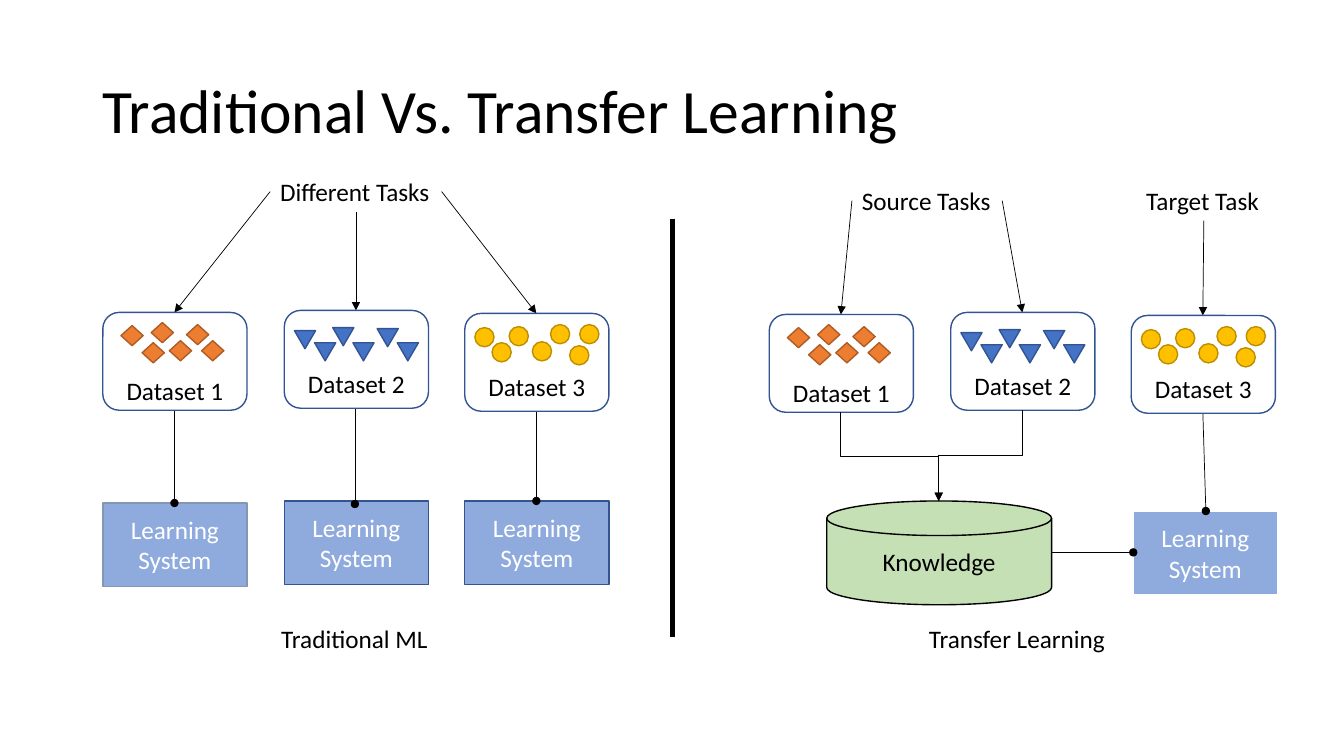
"""Build a slide comparing traditional machine learning with transfer learning."""
from lxml import etree
from pptx import Presentation, util as u
from pptx.dml.color import RGBColor
from pptx.enum import shapes, text
from pptx.oxml.ns import qn

COLORS = {
    "black": "000000", "white": "FFFFFF", "navy": "325491", "gray": "8497B0",
    "system": "8FAADC", "knowledge": "C5E0B4", "orange": "ED7D31", "rust": "AF5C24",
    "blue": "4472C4", "gold": "FFC000", "ochre": "BD8E00",
}
SHAPE = shapes.MSO_SHAPE
ANCHOR = text.MSO_ANCHOR
ALIGN = text.PP_ALIGN

COLUMNS = (1.02, 2.82, 4.61)
DATASET_TOPS = (3.1, 3.08, 3.11)
BOX_W, DATASET_H, SYSTEM_H = 1.43, 0.97, 0.83
TRANSFER_DX, TRANSFER_DY = 6.61, 0.02

MARKERS = (
    (SHAPE.DIAMOND, 0.22, 0.2, "orange", "rust",
     ((0.18, 0.13), (0.39, 0.3), (0.48, 0.1), (0.66, 0.28), (0.83, 0.12), (0.98, 0.28))),
    (SHAPE.FLOWCHART_MERGE, 0.21, 0.18, "blue", "navy",
     ((0.1, 0.2), (0.3, 0.32), (0.48, 0.17), (0.68, 0.32), (0.92, 0.18), (1.12, 0.32))),
    (SHAPE.OVAL, 0.19, 0.19, "gold", "ochre",
     ((0.1, 0.14), (0.27, 0.29), (0.44, 0.13), (0.67, 0.28), (1.14, 0.11),
      (0.85, 0.11), (1.04, 0.32))),
)


def rgb(name):
    """Return the named colour."""
    return RGBColor.from_string(COLORS[name])


def write(tf, content, size=18, color="black", align=ALIGN.CENTER,
          anchor=ANCHOR.MIDDLE, wrap=True, spacing=None, bottom=0.05):
    """Put formatted text in a text frame."""
    tf.word_wrap = wrap
    tf.vertical_anchor = anchor
    tf.margin_bottom = u.Inches(bottom)
    p = tf.paragraphs[0]
    p.alignment = align
    if spacing:
        p.line_spacing = spacing
    r = p.add_run()
    r.text = content
    r.font.name = "Calibri"
    r.font.size = u.Pt(size)
    r.font.color.rgb = rgb(color)


class Deck:
    """Hold the style and the current slide."""

    def __init__(self):
        """Start a widescreen presentation with one blank slide."""
        self.prs = Presentation()
        self.prs.slide_width = u.Inches(13.33)
        self.prs.slide_height = u.Inches(7.5)
        self.s = self.prs.slides.add_slide(self.prs.slide_layouts[6])

    def label(self, content, x, y, w, h=0.4, **fmt):
        """Add a text box."""
        sp = self.s.shapes.add_textbox(*map(u.Inches, (x, y, w, h)))
        write(sp.text_frame, content, **fmt)

    def shape(self, kind, x, y, w, h, fill, line, content=None, **fmt):
        """Add a preset shape with optional text."""
        sp = self.s.shapes.add_shape(kind, *map(u.Inches, (x, y, w, h)))
        sp.shadow.inherit = False
        sp.fill.solid()
        sp.fill.fore_color.rgb = rgb(fill)
        sp.line.color.rgb = rgb(line)
        sp.line.width = u.Pt(1)
        if content:
            write(sp.text_frame, content, **fmt)

    def line(self, x1, y1, x2, y2, tail=None, width=0.5, kind=shapes.MSO_CONNECTOR.STRAIGHT):
        """Add a connector with an optional end mark."""
        c = self.s.shapes.add_connector(kind, *map(u.Inches, (x1, y1, x2, y2)))
        c.line.color.rgb = rgb("black")
        c.line.width = u.Pt(width)
        if tail:
            etree.SubElement(c.line._get_or_add_ln(), qn("a:tailEnd"), type=tail)
        etree.SubElement(c._element.spPr, qn("a:effectLst"))
        return c

    def elbow(self, x1, y1, x2, y2):
        """Add an arrow that leaves and arrives vertically."""
        cx, cy = (x1 + x2) / 2, (y1 + y2) / 2
        half_w, half_h = (y2 - y1) / 2, abs(x2 - x1) / 2
        side = 1 if x2 > x1 else -1
        c = self.line(cx + side * half_w, cy - half_h, cx - side * half_w, cy + half_h,
                      "triangle", kind=shapes.MSO_CONNECTOR.ELBOW)
        degrees = 270 if side > 0 else 90
        c._element.spPr.find(qn("a:xfrm")).set("rot", str(degrees * 60000))

    def system(self, x, y, line):
        """Add a learning system box."""
        self.shape(SHAPE.RECTANGLE, x, y, BOX_W, SYSTEM_H, "system", line,
                   "Learning System", color="white")

    def dataset(self, i, dx=0, dy=0):
        """Add a dataset box with its markers."""
        x, y = COLUMNS[i] + dx, DATASET_TOPS[i] + dy
        self.shape(SHAPE.ROUNDED_RECTANGLE, x, y, BOX_W, DATASET_H, "white", "navy",
                   f"Dataset {i + 1}", anchor=ANCHOR.BOTTOM, bottom=0.05 if i else 0)
        kind, w, h, fill, line, offsets = MARKERS[i]
        for ox, oy in offsets:
            self.shape(kind, x + ox, y + oy, w, h, fill, line)


def main():
    """Compose and save the slide."""
    d = Deck()
    d.label("Traditional Vs. Transfer Learning", 0.92, 0.4, 11.5, 1.45,
            size=44, align=ALIGN.LEFT, spacing=0.9)
    for content, x, y, w in (("Different Tasks", 2.68, 1.7, 1.7),
                             ("Source Tasks", 8.45, 1.79, 1.49),
                             ("Target Task", 11.27, 1.79, 1.33)):
        d.label(content, x, y, w, align=ALIGN.LEFT, anchor=ANCHOR.TOP, wrap=False)
    for content, x in (("Traditional ML", 1.82), ("Transfer Learning", 8.39)):
        d.label(content, x, 6.13, 3.39, anchor=ANCHOR.TOP)
    d.line(6.67, 2.17, 6.67, 6.32, width=4)

    for x, y, line in zip(COLUMNS, (4.99, 4.97, 4.97), ("gray", "navy", "navy")):
        d.system(x, y, line)
    d.system(11.24, 5.07, "white")
    d.shape(SHAPE.FLOWCHART_MAGNETIC_DISK, 8.2, 4.97, 2.23, 1.03,
            "knowledge", "black", "Knowledge")

    for ends in ((2.68, 1.9, 1.73, 3.1), (3.53, 2.1, 3.53, 3.08), (4.38, 1.9, 5.32, 3.11),
                 (8.45, 1.99, 8.34, 3.12), (9.94, 1.99, 10.14, 3.1),
                 (11.94, 2.19, 11.93, 3.13)):
        d.line(*ends, tail="triangle")
    for ends in ((1.73, 4.07, 1.73, 4.99), (3.52, 4.03, 3.52, 5), (5.32, 4.01, 5.32, 4.97),
                 (11.93, 4.09, 11.96, 5.07), (10.43, 5.48, 11.24, 5.48)):
        d.line(*ends, tail="oval")

    for i in range(len(COLUMNS)):
        d.dataset(i)
        d.dataset(i, TRANSFER_DX, TRANSFER_DY)
    d.elbow(8.34, 4.09, 9.31, 4.97)
    d.elbow(10.14, 4.07, 9.31, 4.97)
    d.prs.save("out.pptx")


if __name__ == "__main__":
    main()
